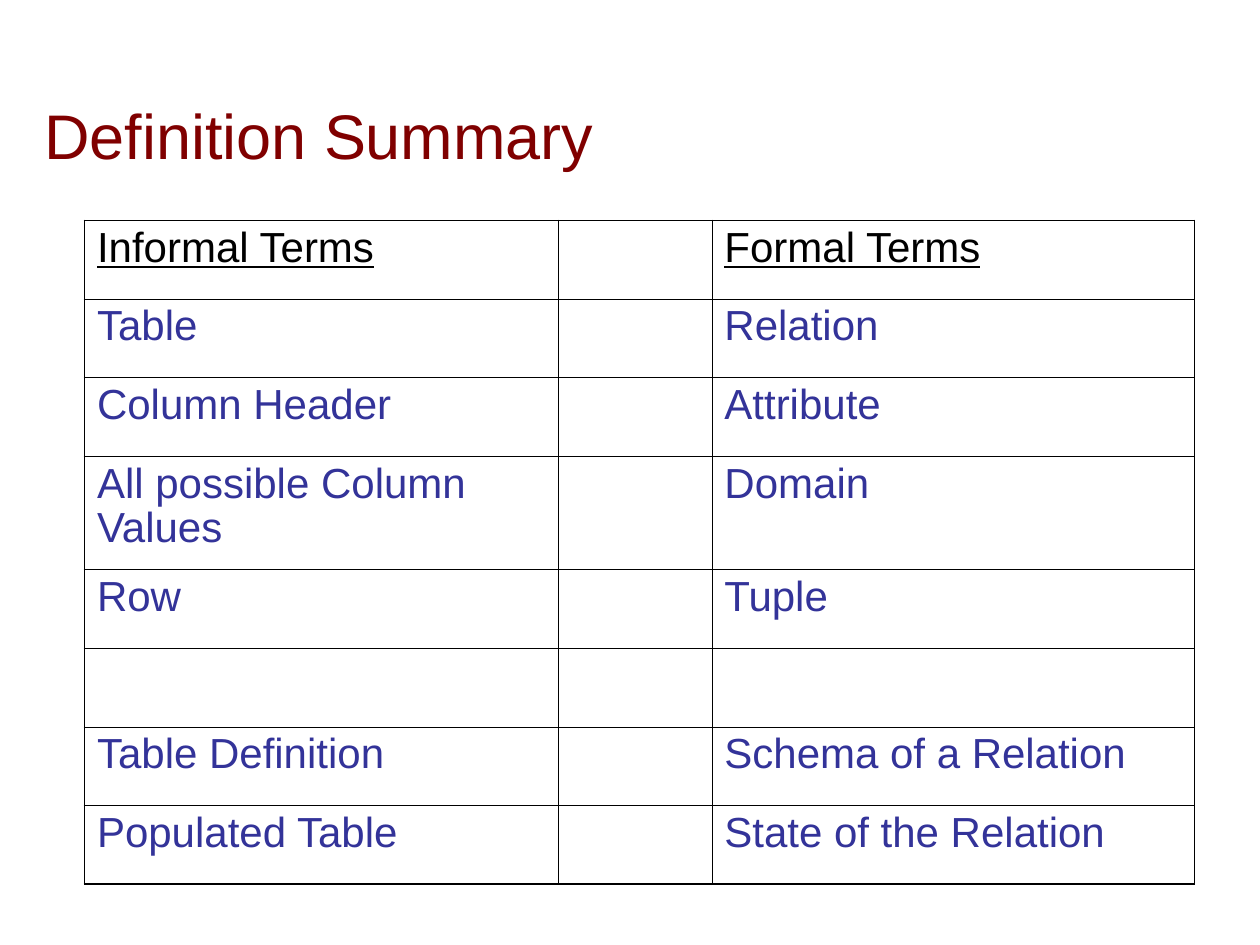
from typing import NamedTuple

from lxml.etree import SubElement
from pptx import Presentation
from pptx.dml.color import RGBColor
from pptx.enum.text import MSO_ANCHOR, MSO_AUTO_SIZE, PP_ALIGN
from pptx.oxml.ns import qn
from pptx.util import Inches, Pt

FONT = "Arial"
MAROON, BLACK, BLUE = "800000", "000000", "333399"
INNER, OUTER = Pt(0.45), Pt(1.08)
TABLE_HEIGHT, TALL_ROW = 5.27, 0.9
COLUMN_WIDTHS = (3.76, 1.22, 3.83)


class Definition(NamedTuple):
    informal: str = ""
    formal: str = ""
    heading: bool = False
    tall: bool = False


DEFINITIONS = [
    Definition("Informal Terms", "Formal Terms", heading=True),
    Definition("Table", "Relation"),
    Definition("Column Header", "Attribute"),
    Definition("All possible Column Values", "Domain", tall=True),
    Definition("Row", "Tuple"),
    Definition(),
    Definition("Table Definition", "Schema of a Relation"),
    Definition("Populated Table", "State of the Relation"),
]


def style_font(font, size: int, color: str) -> None:
    font.name = FONT
    font.size = Pt(size)
    font.color.rgb = RGBColor.from_string(color)


def set_borders(cell, widths: dict[str, int]) -> None:
    """Draw black cell borders; widths maps L, R, T, B in that order."""
    tc_pr = cell._tc.get_or_add_tcPr()
    for side, width in widths.items():
        ln = SubElement(tc_pr, qn(f"a:ln{side}"), w=str(int(width)))
        fill = SubElement(ln, qn("a:solidFill"))
        SubElement(fill, qn("a:srgbClr"), val=BLACK)


def add_title(s, text: str) -> None:
    title = s.shapes.title
    title.left, title.top = Inches(0.25), Inches(0.33)
    title.width, title.height = Inches(8.53), Inches(1.09)
    tf = title.text_frame
    tf.text = text
    tf.auto_size = MSO_AUTO_SIZE.NONE
    tf.vertical_anchor = MSO_ANCHOR.BOTTOM
    p = tf.paragraphs[0]
    p.alignment = PP_ALIGN.LEFT
    style_font(p.runs[0].font, 36, MAROON)


def fill_cell(cell, text: str, heading: bool) -> None:
    if not text:
        return
    cell.text_frame.text = text
    p = cell.text_frame.paragraphs[0]
    p.line_spacing = 0.95
    font = p.runs[0].font
    style_font(font, 24, BLACK if heading else BLUE)
    font.underline = heading


def add_definition_table(s, definitions: list[Definition]) -> None:
    n_rows, n_cols = len(definitions), len(COLUMN_WIDTHS)
    n_tall = sum(d.tall for d in definitions)
    row_height = (TABLE_HEIGHT - n_tall * TALL_ROW) / (n_rows - n_tall)
    table = s.shapes.add_table(
        n_rows, n_cols, Inches(0.67), Inches(1.75),
        Inches(sum(COLUMN_WIDTHS)), Inches(TABLE_HEIGHT),
    ).table
    table.first_row = table.horz_banding = False
    for column, width in zip(table.columns, COLUMN_WIDTHS):
        column.width = Inches(width)

    for i, d in enumerate(definitions):
        table.rows[i].height = Inches(TALL_ROW if d.tall else row_height)
        for j, text in enumerate((d.informal, "", d.formal)):
            cell = table.cell(i, j)
            fill_cell(cell, text, d.heading)
            set_borders(cell, {
                "L": OUTER if j == 0 else INNER,
                "R": OUTER if j == n_cols - 1 else INNER,
                "T": OUTER if i == 0 else INNER,
                "B": OUTER if i == n_rows - 1 else INNER,
            })
            cell.fill.background()


def main() -> None:
    prs = Presentation()
    prs.slide_width, prs.slide_height = Inches(10), Inches(7.5)
    s = prs.slides.add_slide(prs.slide_layouts.get_by_name("Title Only"))
    add_title(s, "Definition Summary")
    add_definition_table(s, DEFINITIONS)
    prs.save("out.pptx")


if __name__ == "__main__":
    main()
